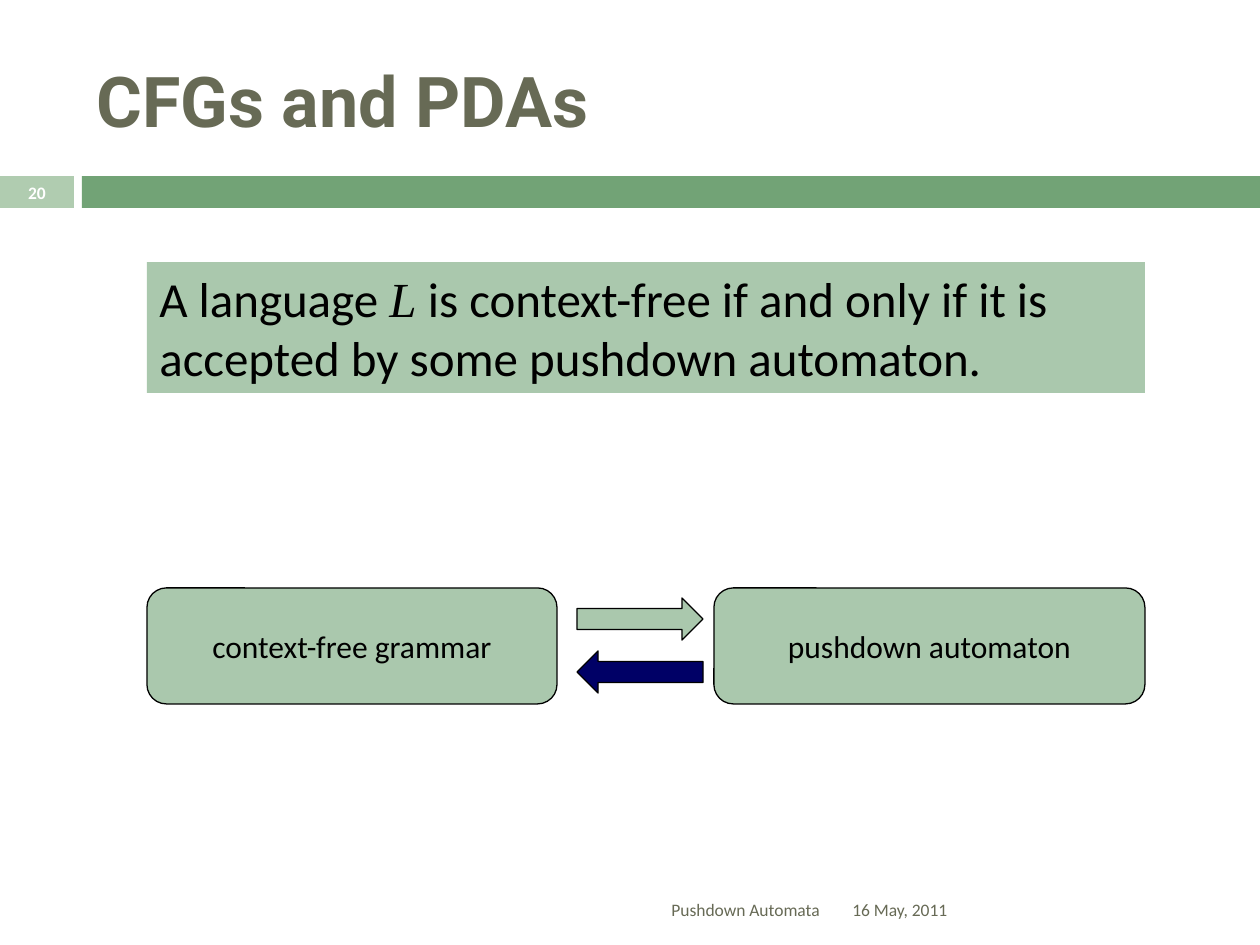
import pptx
import pptx.util
import pptx.dml.color
import pptx.enum.shapes
import pptx.enum.text

SHAPE = pptx.enum.shapes.MSO_SHAPE
ANCHOR = pptx.enum.text.MSO_ANCHOR
ALIGN = pptx.enum.text.PP_ALIGN

# Content: spans are (text, format) pairs; places are left, top, width, height in px
TITLE = ("CFGs and PDAs", (84, 32, 1124, 136))
STATEMENT = (
    [
        ("A language ", {}),
        ("L ", {"font": "Times New Roman", "italic": True}),
        ("is context-free if and only if it is accepted by some pushdown automaton.", {}),
    ],
    (147, 262, 998, 131),
)
MODELS = [("context-free grammar", 147, 410), ("pushdown automaton", 714, 431)]
MODEL_TOP, MODEL_HEIGHT = 588, 116
ARROWS = [("pale", 0), ("navy", 180)]
ARROW_LEFT, ARROW_TOP, ARROW_WIDTH, ARROW_HEIGHT, ARROW_STEP = 577, 598, 126, 42, 53
BANDS = [("band_light", (0, 176, 74, 32)), ("band", (82, 176, 1178, 32))]
LABELS = [
    ("16 May, 2011", (840, 885, 368, 50), {"color": "olive"}),
    ("20", (0, 175, 74, 34), {"color": "white", "bold": True, "align": ALIGN.CENTER}),
    ("Pushdown Automata", (84, 885, 748, 50), {"color": "olive", "align": ALIGN.RIGHT}),
]

THEME = {
    "colors": {"olive": "676A55", "band": "72A376", "band_light": "B0CCB0",
               "pale": "AAC8AD", "navy": "000066", "black": "000000", "white": "FFFFFF"},
    "sizes": {"title": 40, "statement": 28, "model": 18, "label": 10},
    "heading_font": "Roboto",
    "body_font": "Calibri",
}


def px(length):
    return pptx.util.Emu(length * 914400 // 126)


def color(name):
    return pptx.dml.color.RGBColor.from_string(THEME["colors"][name])


def write(box, spans, size, font=THEME["body_font"], color_name="black", bold=False,
          align=ALIGN.LEFT, anchor=ANCHOR.MIDDLE, wrap=True):
    """Fill a box with one paragraph of formatted spans."""
    frame = box.text_frame
    frame.word_wrap = wrap
    frame.auto_size = pptx.enum.text.MSO_AUTO_SIZE.NONE
    frame.vertical_anchor = anchor
    para = frame.paragraphs[0]
    para.alignment = align
    for text, style in spans:
        span = para.add_run()
        span.text = text
        span.font.name = style.get("font", font)
        span.font.size = pptx.util.Pt(THEME["sizes"][size])
        span.font.bold = bold
        span.font.italic = style.get("italic", False)
        span.font.color.rgb = color(color_name)


def add_shape(page, kind, place, fill, outlined=False):
    shape = page.shapes.add_shape(kind, *map(px, place))
    shape.shadow.inherit = False
    shape.fill.solid()
    shape.fill.fore_color.rgb = color(fill)
    if outlined:
        shape.line.color.rgb = color("black")
        shape.line.width = pptx.util.Pt(0.75)
    else:
        shape.line.fill.background()
    return shape


def main():
    deck = pptx.Presentation()
    deck.slide_width, deck.slide_height = px(1260), px(945)
    page = deck.slides.add_slide(deck.slide_layouts[5])

    # Title and the band under it
    for fill, place in BANDS:
        add_shape(page, SHAPE.RECTANGLE, place, fill)
    text, place = TITLE
    title = page.shapes.title
    title.left, title.top, title.width, title.height = map(px, place)
    write(title, [(text, {})], "title", font=THEME["heading_font"],
          color_name="olive", bold=True)

    # Theorem
    spans, place = STATEMENT
    statement = add_shape(page, SHAPE.RECTANGLE, place, "pale")
    write(statement, spans, "statement", anchor=ANCHOR.TOP)

    # Two equivalent models
    for text, left, width in MODELS:
        model = add_shape(page, SHAPE.ROUNDED_RECTANGLE,
                          (left, MODEL_TOP, width, MODEL_HEIGHT), "pale", outlined=True)
        write(model, [(text, {})], "model", align=ALIGN.CENTER, wrap=False)

    # Conversions in both directions
    for row, (fill, rotation) in enumerate(ARROWS):
        place = (ARROW_LEFT, ARROW_TOP + row * ARROW_STEP, ARROW_WIDTH, ARROW_HEIGHT)
        arrow = add_shape(page, SHAPE.RIGHT_ARROW, place, fill, outlined=True)
        arrow.rotation = rotation

    # Date, page number and footer
    for text, place, style in LABELS:
        label = page.shapes.add_textbox(*map(px, place))
        write(label, [(text, {})], "label", color_name=style["color"],
              bold=style.get("bold", False), align=style.get("align", ALIGN.LEFT))

    deck.save("out.pptx")


if __name__ == "__main__":
    main()
